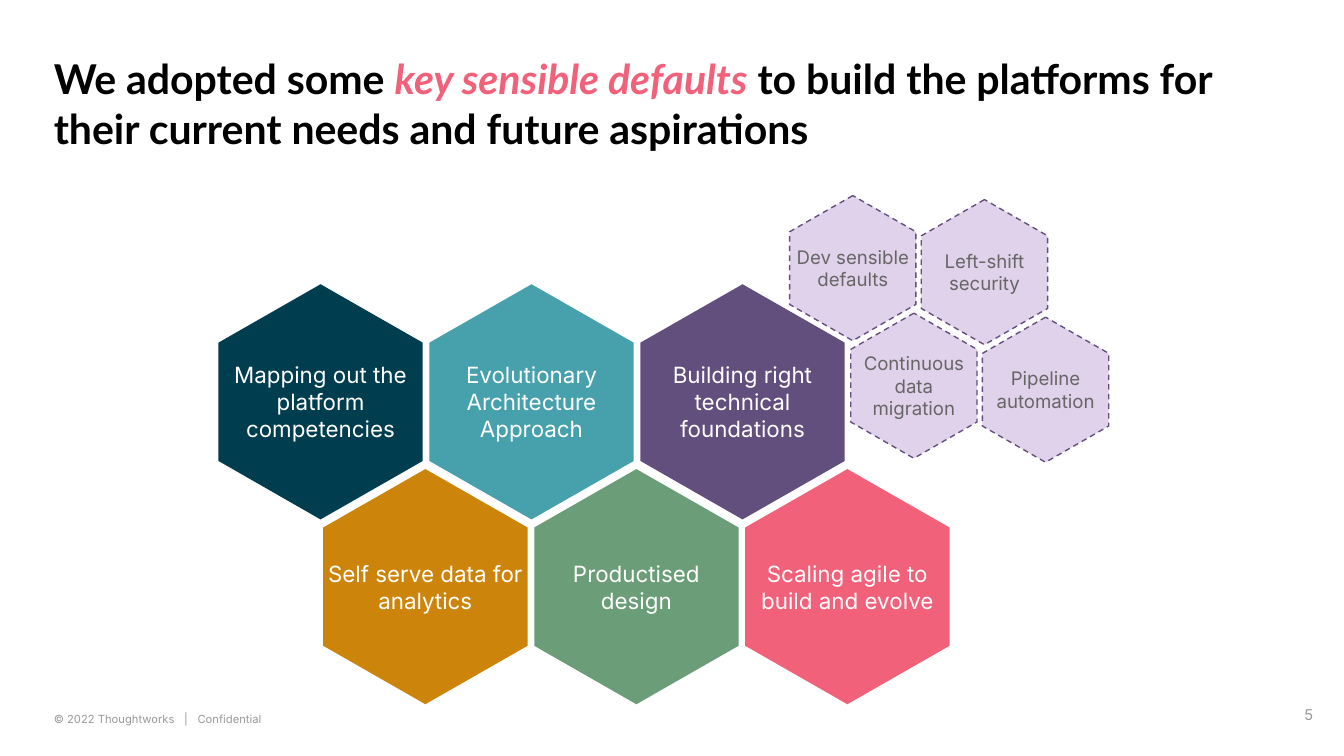
from lxml import etree
from pptx import Presentation
from pptx.dml.color import RGBColor
from pptx.enum.dml import MSO_LINE
from pptx.enum.text import MSO_ANCHOR, PP_ALIGN
from pptx.oxml.ns import qn
from pptx.util import Pt

PX = 4572  # EMU per px, 200 px to the inch
TOP, MIDDLE, BOTTOM = MSO_ANCHOR.TOP, MSO_ANCHOR.MIDDLE, MSO_ANCHOR.BOTTOM
CENTER, RIGHT = PP_ALIGN.CENTER, PP_ALIGN.RIGHT
DASH = MSO_LINE.DASH

BLACK = RGBColor(0x00, 0x00, 0x00)
WHITE = RGBColor(0xFF, 0xFF, 0xFF)
GREY = RGBColor(0x66, 0x66, 0x66)
LIGHT_GREY = RGBColor(0x99, 0x99, 0x99)
NAVY = RGBColor(0x00, 0x3D, 0x4F)
TEAL = RGBColor(0x47, 0xA1, 0xAD)
PURPLE = RGBColor(0x63, 0x4F, 0x7D)
VIOLET = RGBColor(0x65, 0x1F, 0x97)
OCHRE = RGBColor(0xCC, 0x85, 0x0A)
GREEN = RGBColor(0x6B, 0x9E, 0x78)
PINK = RGBColor(0xF2, 0x61, 0x7A)

prs = Presentation()
prs.slide_width, prs.slide_height = 2000 * PX, 1125 * PX
slide = prs.slides.add_slide(prs.slide_layouts[6])


def set_text(shape, text, size, color, anchor, align=None, font="Inter", inset=0):
    frame = shape.text_frame
    frame.word_wrap = True
    frame.vertical_anchor = anchor
    frame.margin_left = frame.margin_right = inset * PX
    frame.margin_top = frame.margin_bottom = inset * PX
    paragraph = frame.paragraphs[0]
    paragraph.text = text
    paragraph.alignment = align
    paragraph.font.name = font
    paragraph.font.size = Pt(size)
    paragraph.font.color.rgb = color
    return paragraph


def add_hexagon(left, top, width, height, text, size, fill, text_color):
    middle, right = left + width // 2, left + width
    upper, lower = top + height // 4, top + height - height // 4
    outline = slide.shapes.build_freeform(middle, top, scale=PX)
    outline.add_line_segments([(left, upper), (left, lower), (middle, top + height),
                               (right, lower), (right, upper)], close=True)
    hexagon = outline.convert_to_shape()
    hexagon.shadow.inherit = False
    hexagon.fill.solid()
    hexagon.fill.fore_color.rgb = fill
    hexagon.line.fill.background()
    # A small inset keeps labels off the sides
    set_text(hexagon, text, size, text_color, MIDDLE, CENTER, inset=4)
    return hexagon


# Title
title = slide.shapes.add_textbox(80 * PX, 80 * PX, 1838 * PX, 126 * PX)
headline = set_text(title, "We adopted some ", 22, BLACK, TOP, font="Lato")
headline.font.bold = True
emphasis = headline.add_run()
emphasis.text = "key sensible defaults"
emphasis.font.italic = True
emphasis.font.color.rgb = PINK
headline.add_run().text = " to build the platforms for their current needs and future aspirations"

# Main practices: two staggered rows of hexagons
practice_rows = [
    (325, 423, [("Mapping out the platform competencies", NAVY),
                ("Evolutionary Architecture Approach", TEAL),
                ("Building right technical foundations", PURPLE)]),
    (481, 698, [("Self serve data for analytics", OCHRE),
                ("Productised design", GREEN),
                ("Scaling agile to build and evolve", PINK)]),
]
for row_left, row_top, practices in practice_rows:
    for column, (practice, color) in enumerate(practices):
        add_hexagon(row_left + 314 * column, row_top, 304, 350,
                    practice, 12, color, WHITE)

# Technical foundations: small dashed, translucent hexagons
foundation_rows = [
    (1175, 291, ["Dev sensible defaults", "Left-shift security"]),
    (1266, 466, ["Continuous data migration", "Pipeline automation"]),
]
for row_left, row_top, foundations in foundation_rows:
    for column, foundation in enumerate(foundations):
        cell = add_hexagon(row_left + 196 * column, row_top + 6 * column, 188, 216,
                           foundation, 10, VIOLET, GREY)
        tint = cell.fill._xPr.find(qn("a:solidFill"))[0]
        etree.SubElement(tint, qn("a:alpha"), val="20000")
        cell.line.color.rgb = PURPLE
        cell.line.width = Pt(0.75)
        cell.line.dash_style = DASH

# Footer, with tab stops for the divider and the notice
footer = slide.shapes.add_textbox(80 * PX, 1042 * PX, 862 * PX, 38 * PX)
notice = set_text(footer, "", 6, LIGHT_GREY, BOTTOM)
properties = notice._p.get_or_add_pPr()
tabs = etree.Element(qn("a:tabLst"))
for stop in (194, 214):
    etree.SubElement(tabs, qn("a:tab"), pos=str(stop * PX), algn="l")
properties.insert(0, tabs)
notice.add_run().text = "© 2022 Thoughtworks\t|\tConfidential"

# Slide number
page_number = slide.shapes.add_textbox(1854 * PX, 1020 * PX, 120 * PX, 86 * PX)
set_text(page_number, "5", 8, LIGHT_GREY, MIDDLE, RIGHT, inset=20)

prs.save("out.pptx")
